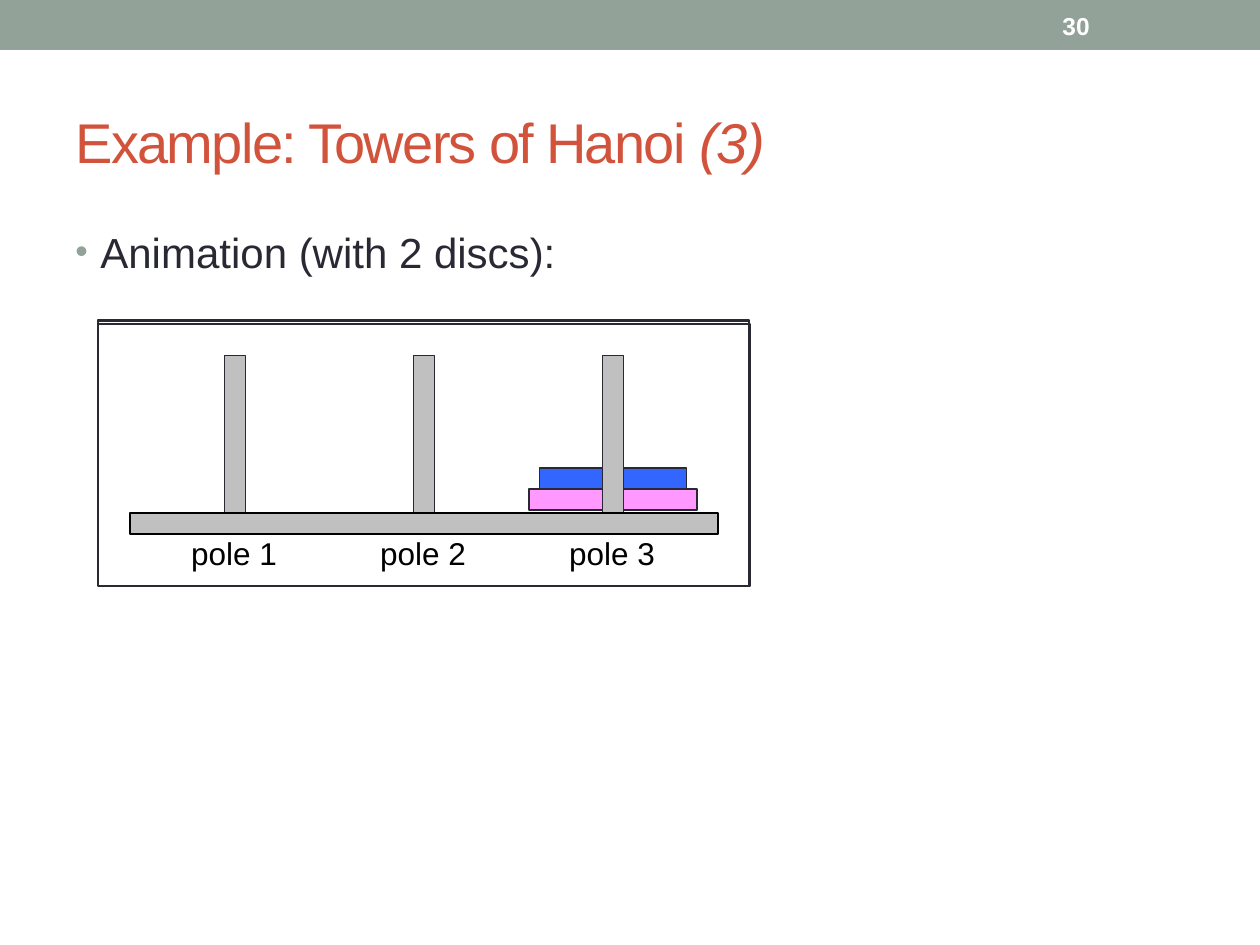
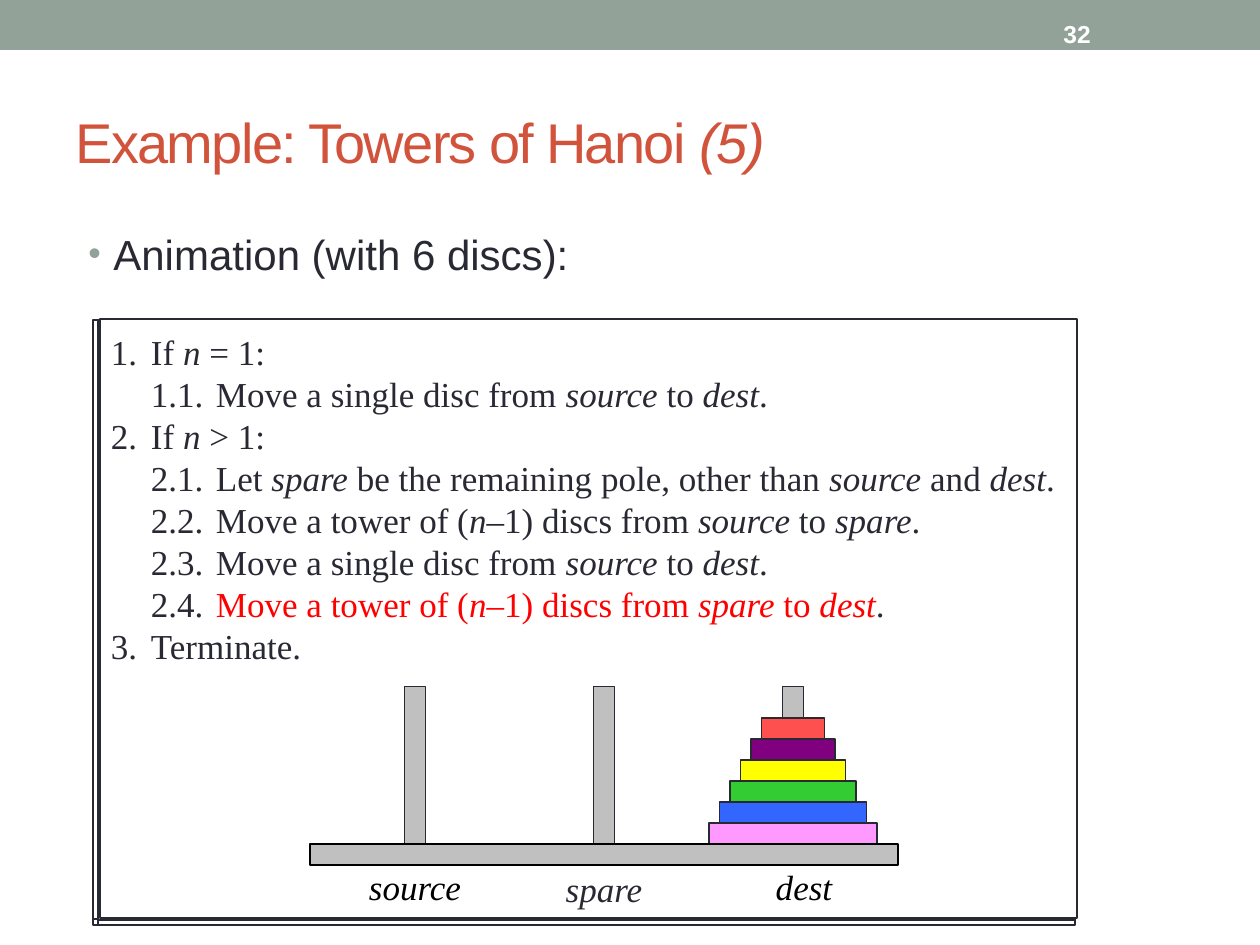
from lxml.etree import SubElement
from pptx import Presentation
from pptx.dml.color import RGBColor
from pptx.enum.shapes import MSO_SHAPE as Shape
from pptx.enum.text import MSO_ANCHOR as Anchor, MSO_AUTO_SIZE as AutoSize, PP_ALIGN as Align
from pptx.oxml.ns import qn
from pptx.util import Emu, Pt

SCALE = 914400 / 126
SLIDE_SIZE = (1260, 945)
INK, WHITE, BLACK, RED = "292934", "FFFFFF", "000000", "FF0000"
SAGE, RUST, GREY = "93A299", "D2533C", "C0C0C0"
SANS, SERIF = "Arial", "Times New Roman"
DISC_COLOURS = ["FF99FF", "3366FF", "33CC33", "FFFF00", "800080", "FF5050"]
UNIT = 21
BASE_WIDTH, POLE_HEIGHT, POLE_RISE = 28 * UNIT, 8 * UNIT, 157.5
POLE_CENTRES = [105 + 189 * index for index in range(3)]
STEPS = [
    ("1.\t", "If *n* = 1:", INK),
    ("\t1.1.\t", "Move a single disc from *source* to *dest*.", INK),
    ("2.\t", "If *n* > 1:", INK),
    ("\t2.1.\t", "Let *spare* be the remaining pole, other than *source* and *dest*.", INK),
    ("\t2.2.\t", "Move a tower of (*n*–1) discs from *source* to *spare*.", INK),
    ("\t2.3.\t", "Move a single disc from *source* to *dest*.", INK),
    ("\t2.4.\t", "Move a tower of (*n*–1) discs from *spare* to *dest*.", RED),
    ("3.\t", "Terminate.", INK),
]


def px(length):
    """Turn pixels into EMU."""
    return Emu(round(length * SCALE))


def colour(value):
    """Turn a hex string into a colour."""
    return RGBColor.from_string(value)


def style_run(run, size, font, ink, bold=False, italic=False):
    """Format one run."""
    run.font.size, run.font.name = Pt(size), font
    run.font.bold, run.font.italic = bold, italic
    run.font.color.rgb = colour(ink)


def add_marked_text(paragraph, text, size, font, ink):
    """Add runs to a paragraph, with the parts between asterisks in italics."""
    for index, part in enumerate(text.split("*")):
        if part:
            run = paragraph.add_run()
            run.text = part
            style_run(run, size, font, ink, italic=index % 2 == 1)


def add_box(slide, box, fill, line=None):
    """Add a filled rectangle, outlined when a line colour is given."""
    shape = slide.shapes.add_shape(Shape.RECTANGLE, *map(px, box))
    shape.shadow.inherit = False
    shape.fill.solid()
    shape.fill.fore_color.rgb = colour(fill)
    if line:
        shape.line.color.rgb = colour(line)
        shape.line.width = Pt(0.75)
    else:
        shape.line.fill.background()


def add_text_frame(slide, box, padded=True):
    """Add a wrapping text box and return its frame."""
    frame = slide.shapes.add_textbox(*map(px, box)).text_frame
    frame.word_wrap = True
    if not padded:
        frame.margin_left = frame.margin_right = frame.margin_top = frame.margin_bottom = 0
    return frame


def add_page(presentation, part, number, number_at):
    """Add a slide with the shared band, title and slide number."""
    slide = presentation.slides.add_slide(presentation.slide_layouts[5])
    add_box(slide, (0, 0, SLIDE_SIZE[0], 50), SAGE)
    title = slide.shapes.title
    title.left, title.top, title.width, title.height = map(px, (63, 73, 1134, 136))
    frame = title.text_frame
    frame.auto_size, frame.vertical_anchor = AutoSize.NONE, Anchor.MIDDLE
    paragraph = frame.paragraphs[0]
    paragraph.alignment = Align.LEFT
    add_marked_text(paragraph, f"Example: Towers of Hanoi *({part})*", 32, SANS, RUST)
    for run in paragraph.runs:
        run.font._element.set("spc", "-100")
    frame = add_text_frame(slide, (*number_at, 147, 45))
    frame.vertical_anchor = Anchor.MIDDLE
    frame.text = number
    style_run(frame.paragraphs[0].runs[0], 14, SANS, WHITE, bold=True)
    return slide


def add_bullet(slide, left, top, text):
    """Add the bulleted body line."""
    paragraph = add_text_frame(slide, (left, top, 1134, 672)).paragraphs[0]
    add_marked_text(paragraph, text, 24, SANS, INK)
    paragraph.space_before = Pt(4.8)
    properties = paragraph._p.get_or_add_pPr()
    properties.set("marL", str(px(25)))
    properties.set("indent", str(-px(25)))
    bullet_colour = SubElement(properties, qn("a:buClr"))
    SubElement(bullet_colour, qn("a:srgbClr"), val=SAGE)
    SubElement(properties, qn("a:buSzPct"), val="85000")
    SubElement(properties, qn("a:buFont"), typeface=SANS)
    SubElement(properties, qn("a:buChar"), char="•")


def add_frames(slide, corners, width, height):
    """Stack white outlined frames, one at each corner."""
    for left, top in corners:
        add_box(slide, (left, top, width, height), WHITE, INK)


def add_poles(slide, left, top):
    """Add the three poles above a base at the given corner."""
    for centre in POLE_CENTRES:
        add_box(slide, (left + centre - UNIT / 2, top - POLE_RISE, UNIT, POLE_HEIGHT), GREY, INK)


def add_discs(slide, left, top, count, gap):
    """Stack discs on the last pole, the widest at the bottom."""
    centre = left + POLE_CENTRES[-1]
    for level, fill in enumerate(DISC_COLOURS[:count]):
        width = (8 - level) * UNIT
        add_box(slide, (centre - width / 2, top - gap - (level + 1) * UNIT, width, UNIT), fill, INK)


def add_towers(slide, left, top, disc_count, disc_gap=0, discs_in_front=True):
    """Draw poles, discs and base, with the base at the given corner."""
    if discs_in_front:
        add_poles(slide, left, top)
    add_discs(slide, left, top, disc_count, disc_gap)
    if not discs_in_front:
        add_poles(slide, left, top)
    add_box(slide, (left, top, BASE_WIDTH, UNIT), GREY, BLACK)


def add_labels(slide, left, top, labels, size, font):
    """Name each pole below the base; a label has text, shifts and colour."""
    for centre, (text, right, down, ink) in zip(POLE_CENTRES, labels):
        box = (left + centre + right - 52, top + UNIT + down, 104, 2.1 * size)
        paragraph = add_text_frame(slide, box, padded=False).paragraphs[0]
        paragraph.alignment = Align.CENTER
        add_marked_text(paragraph, text, size, font, ink)


def add_steps(slide, box):
    """Write the numbered algorithm on shared tab stops."""
    frame = add_text_frame(slide, box, padded=False)
    for index, (number, text, ink) in enumerate(STEPS):
        paragraph = frame.add_paragraph() if index else frame.paragraphs[0]
        paragraph.line_spacing = Pt(24)
        add_marked_text(paragraph, number, 20, SERIF, INK)
        add_marked_text(paragraph, text[:-1], 20, SERIF, ink)
        add_marked_text(paragraph, text[-1], 20, SERIF, INK)
        stops = SubElement(paragraph._p.get_or_add_pPr(), qn("a:tabLst"))
        for stop in (40, 105):
            SubElement(stops, qn("a:tab"), pos=str(px(stop)), algn="l")


def build_two_discs(presentation):
    """Build the slide with two discs."""
    slide = add_page(presentation, 3, "30", (1050, 3))
    add_frames(slide, [(98, 320), (98, 321), (99, 324), (98, 324)], 651, 262)
    add_towers(slide, 130, 513, 2, disc_gap=3, discs_in_front=False)
    labels = [(f"pole {index}", -1, 0, BLACK) for index in (1, 2, 3)]
    add_labels(slide, 130, 513, labels, 18, SANS)
    add_bullet(slide, 63, 220, "Animation (with 2 discs):")


def build_six_discs(presentation):
    """Build the slide with the algorithm and six discs."""
    slide = add_page(presentation, 5, "32", (1051, 11))
    add_bullet(slide, 76, 222, "Animation (with 6 discs):")
    add_frames(slide, [(93, 326), (93, 320), (98, 326), (98, 321), (100, 319)], 977, 599)
    add_steps(slide, (111, 330, 955, 336))
    add_towers(slide, 310, 844, 6)
    labels = [("*source*", 0, 0, BLACK), ("*spare*", 0, 2, INK), ("*dest*", 11, 0, BLACK)]
    add_labels(slide, 310, 844, labels, 20, SERIF)


def main():
    """Build and save the presentation."""
    presentation = Presentation()
    presentation.slide_width, presentation.slide_height = map(px, SLIDE_SIZE)
    build_two_discs(presentation)
    build_six_discs(presentation)
    presentation.save("out.pptx")


main()
